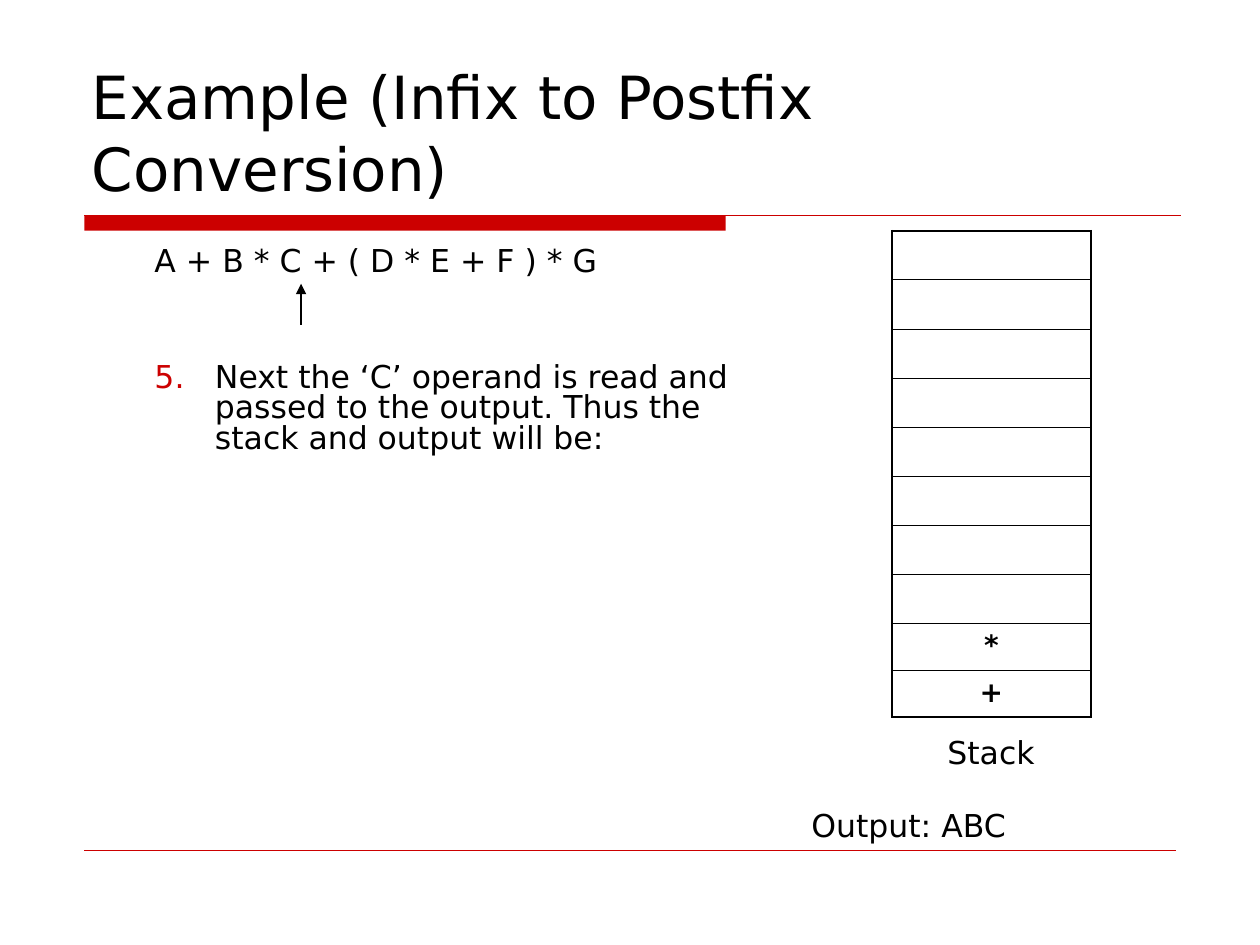
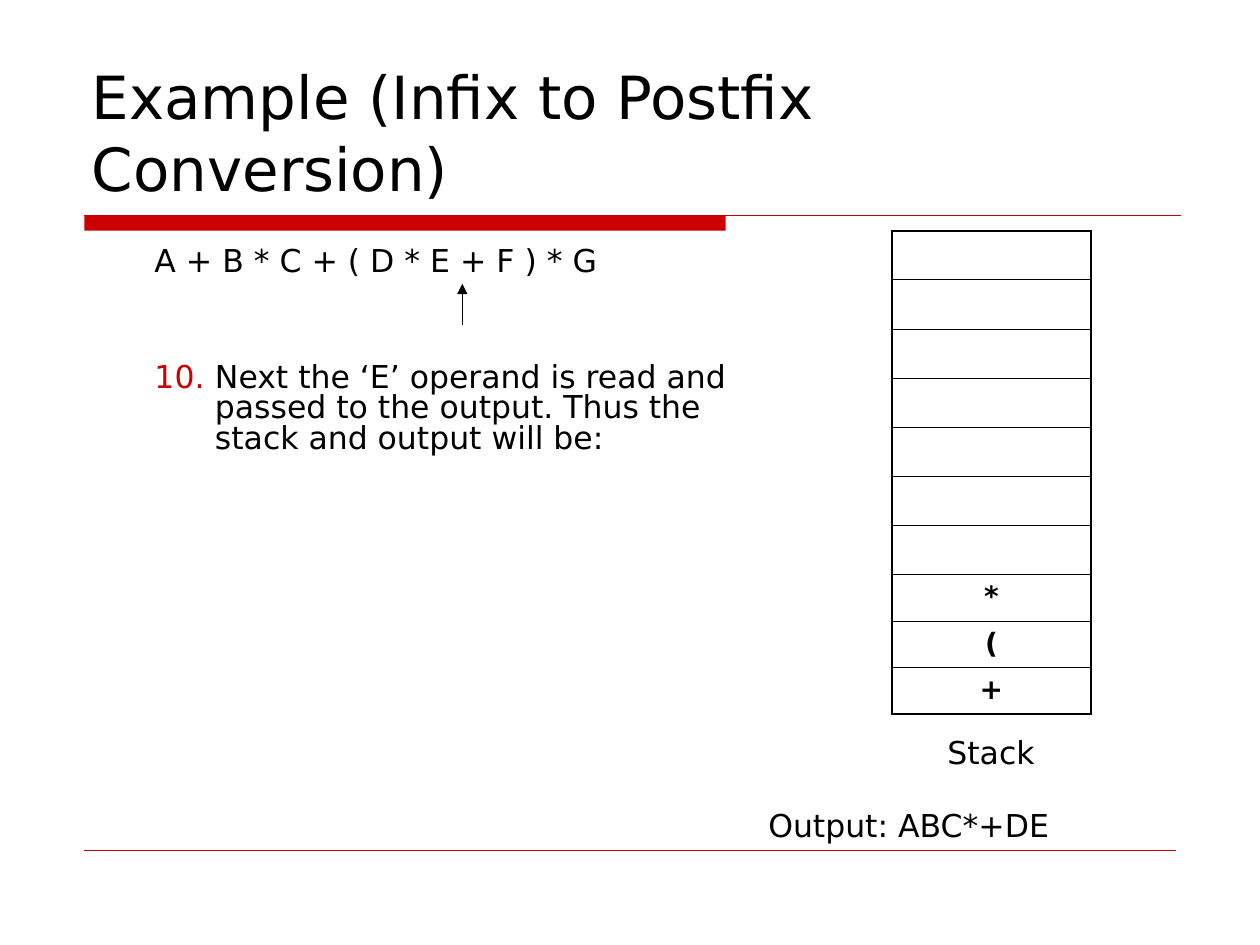
"""Build two slides that trace an infix to postfix conversion with a stack."""
from pptx import Presentation
from pptx.dml.color import RGBColor
from pptx.enum.shapes import MSO_CONNECTOR as Connector, MSO_SHAPE as Shape
from pptx.enum.text import MSO_ANCHOR as Anchor, MSO_AUTO_SIZE as AutoSize, PP_ALIGN as Align
from pptx.oxml.ns import qn
from pptx.util import Cm, Pt
from lxml.etree import SubElement, Element

FONT = "DejaVu Sans"
RED, BLACK = "CC0000", "000000"
TITLE = "Example (Infix to Postfix Conversion)"
EXPRESSION = "A + B * C + ( D * E + F ) * G"
STACK_SIZE = 10
EMPTY_HEIGHT, FILLED_HEIGHT = 0.99, 0.94
STEPS = [
    dict(number=5, operand="C", pointer_x=6.07, stack=["*", "+"], output="ABC"),
    dict(number=10, operand="E", pointer_x=9.32, stack=["*", "(", "+"], output="ABC*+DE"),
]


def color(code):
    return RGBColor.from_string(code)


def write(paragraph, text, size=18, bold=False, align=Align.LEFT, before=0, spacing=None):
    run = paragraph.add_run()
    run.text = text
    run.font.name, run.font.size, run.font.bold = FONT, Pt(size), bold
    run.font.color.rgb = color(BLACK)
    paragraph.alignment = align
    paragraph.space_before = Pt(before)
    if spacing:
        paragraph.line_spacing = spacing


def place(placeholder, left, top, width, height, anchor):
    placeholder.left, placeholder.top = Cm(left), Cm(top)
    placeholder.width, placeholder.height = Cm(width), Cm(height)
    frame = placeholder.text_frame
    frame.auto_size, frame.vertical_anchor = AutoSize.NONE, anchor
    return frame


def add_line(slide, x1, y1, x2, y2, line_color, width, arrow=False):
    line = slide.shapes.add_connector(Connector.STRAIGHT, Cm(x1), Cm(y1), Cm(x2), Cm(y2))
    line.line.color.rgb = color(line_color)
    line.line.width = Pt(width)
    if arrow:
        SubElement(line.line._get_or_add_ln(), qn("a:tailEnd"), type="triangle")
    SubElement(line.element.spPr, qn("a:effectLst"))
    return line


def add_label(slide, text, left, top, width, **style):
    label = slide.shapes.add_textbox(Cm(left), Cm(top), Cm(width), Cm(1.02))
    label.text_frame.word_wrap = True
    write(label.text_frame.paragraphs[0], text, **style)


def add_shared_rules(slide):
    """Draw the title band and the rules, then hand them to the slide's layout."""
    band = slide.shapes.add_shape(Shape.RECTANGLE, Cm(1.7), Cm(4.34), Cm(12.93), Cm(0.31))
    band.shadow.inherit = False
    band.fill.solid()
    band.fill.fore_color.rgb = color(RED)
    band.line.fill.background()
    title_rule = add_line(slide, 1.7, 4.34, 23.8, 4.34, RED, 0.75)
    footer_rule = add_line(slide, 1.7, 17.15, 23.7, 17.15, RED, 0.25)
    for part in (band, title_rule, footer_rule):
        slide.slide_layout.shapes.element.append(part.element)


def set_numbering(paragraph, start=None):
    """Hang the paragraph's first line, numbered from start if that is given."""
    props = paragraph._p.get_or_add_pPr()
    props.set("marL", str(Cm(2.51)))
    props.set("indent", str(Cm(-1.22)))
    if start is None:
        SubElement(props, qn("a:buNone"))
        return
    SubElement(SubElement(props, qn("a:buClr")), qn("a:srgbClr"), val=RED)
    SubElement(props, qn("a:buFont"), typeface=FONT)
    SubElement(props, qn("a:buAutoNum"), type="arabicPeriod", startAt=str(start))


def add_explanation(slide, number, operand):
    body = place(slide.placeholders[1], 1.57, 4.88, 13.87, 9.96, Anchor.TOP)
    expression, step = body.paragraphs[0], body.add_paragraph()
    expression.level = step.level = 1
    set_numbering(expression)
    write(expression, EXPRESSION, spacing=0.8)
    set_numbering(step, number)
    write(step, f"Next the ‘{operand}’ operand is read and passed to the output. "
                "Thus the stack and output will be:", before=49, spacing=0.8)


def set_borders(cell, **widths):
    """Put black borders of the given widths before the cell's fill."""
    props = cell._tc.get_or_add_tcPr()
    for position, (side, width) in enumerate(widths.items()):
        border = Element(qn(f"a:ln{side}"), w=str(Pt(width)))
        SubElement(SubElement(border, qn("a:solidFill")), qn("a:srgbClr"), val=BLACK)
        props.insert(position, border)


def add_stack(slide, operators):
    empty = STACK_SIZE - len(operators)
    height = empty * EMPTY_HEIGHT + len(operators) * FILLED_HEIGHT
    table = slide.shapes.add_table(STACK_SIZE, 1, Cm(17.98), Cm(4.65), Cm(4.01), Cm(height)).table
    table.first_row = table.horz_banding = False
    for index, operator in enumerate([""] * empty + operators):
        table.rows[index].height = Cm(FILLED_HEIGHT if operator else EMPTY_HEIGHT)
        cell = table.cell(index, 0)
        cell.fill.background()
        cell.margin_top = cell.margin_bottom = Cm(0.13 if operator else 0)
        set_borders(cell, L=1.08, R=1.08, T=1.08 if index == 0 else 0.45,
                    B=1.08 if index == STACK_SIZE - 1 else 0.45)
        if operator:
            write(cell.text_frame.paragraphs[0], operator, size=16, bold=True, align=Align.CENTER)


def add_step(slide, number, operand, pointer_x, stack, output):
    title = place(slide.shapes.title, 1.6, 0.84, 22.23, 3.38, Anchor.BOTTOM)
    write(title.paragraphs[0], TITLE, size=34)
    add_explanation(slide, number, operand)
    add_line(slide, pointer_x, 6.55, pointer_x, 5.72, BLACK, 0.75, arrow=True)
    add_stack(slide, stack)
    add_label(slide, "Stack", 18.85, 14.66, 2.34)
    add_label(slide, f"Output: {output}", 12.07, 16.13, 12.5, align=Align.CENTER)


def main():
    deck = Presentation()
    deck.slide_width, deck.slide_height = Cm(25.4), Cm(19.05)
    slides = [deck.slides.add_slide(deck.slide_layouts[1]) for _ in STEPS]
    add_shared_rules(slides[0])
    for slide, step in zip(slides, STEPS):
        add_step(slide, **step)
    deck.save("out.pptx")


if __name__ == "__main__":
    main()
